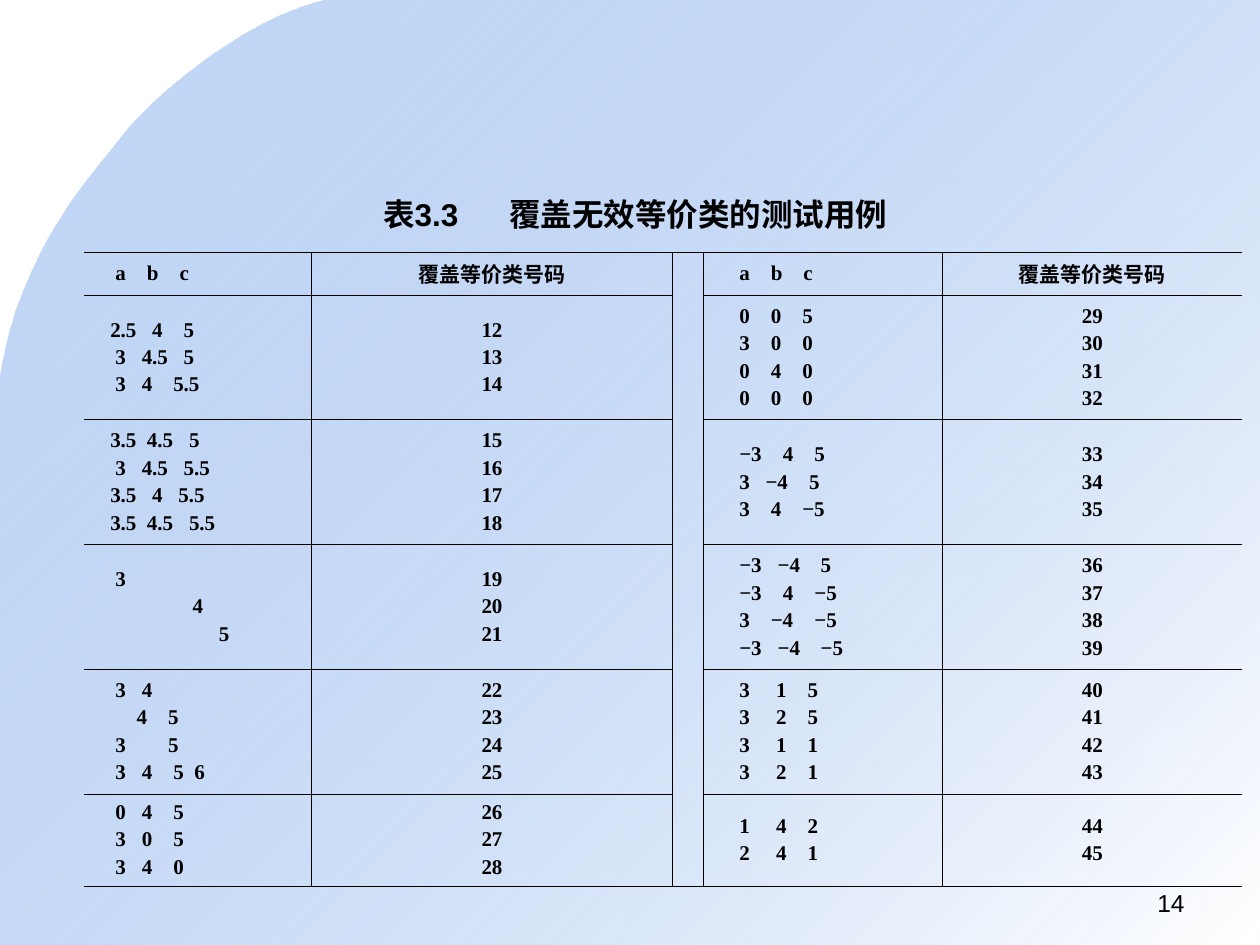
from lxml.etree import SubElement
from pptx import Presentation
from pptx.dml.color import RGBColor
from pptx.enum.text import MSO_ANCHOR, MSO_AUTO_SIZE, PP_ALIGN
from pptx.oxml.ns import qn
from pptx.util import Inches, Pt

COLORS = {"text": "000000", "blue": "699DE9", "white": "FFFFFF"}
SPACE = Pt(3)
HEADING = "覆盖等价类号码"
GAP_COL = 2
COL_WIDTHS = [1.8, 2.87, 0.05, 1.9, 2.38]
ROW_HEIGHTS = [0.34, 0.99, 0.99, 0.99, 0.99, 0.73]
CURVES = [
    [(2.58, 0), (1.9, 0.16), (1.16, 0.83), (0.98, 1.07)],
    [(0.98, 1.07), (0.8, 1.32), (0.16, 1.94), (0, 3.01)],
]
LEFT_CASES = [
    ["3:2.5 11:4 17:5", "4:3 9:4.5 17:5", "4:3 9:4 15:5.5"],
    ["3:3.5 10:4.5 18:5", "4:3 9:4.5 17:5.5", "3:3.5 11:4 16:5.5", "3:3.5 10:4.5 18:5.5"],
    ["4:3", "18.7:4", "23.7:5"],
    ["4:3 9:4", "8:4 14:5", "4:3 14:5", "4:3 9:4 15:5 19:6"],
    ["4:0 9:4 15:5", "4:3 9:0 15:5", "4:3 9:4 15:0"],
]
RIGHT_CASES = [
    ["5:0 11:0 17:5", "5:3 11:0 17:0", "5:0 11:4 17:0", "5:0 11:0 17:0"],
    ["5:−3 13.3:4 19.3:5", "5:3 10:−4 18.3:5", "5:3 11:4 17:−5"],
    ["5:−3 12.3:−4 20.5:5", "5:−3 13.3:4 19.3:−5", "5:3 11:−4 19.3:−5",
     "5:−3 12.3:−4 20.5:−5"],
    ["5:3 12:1 18:5", "5:3 12:2 18:5", "5:3 12:1 18:1", "5:3 12:2 18:1"],
    ["5:1 12:4 18:2", "5:2 12:4 18:1"],
]


def bezier(a, b, c, d, steps=16):
    """Return points along a cubic curve, without its start."""
    ts = [i / steps for i in range(1, steps + 1)]
    return [tuple((1 - t) ** 3 * w + 3 * (1 - t) ** 2 * t * x + 3 * (1 - t) * t * t * y + t ** 3 * z
                  for w, x, y, z in zip(a, b, c, d)) for t in ts]


def add_background(s):
    """Draw the gradient panel with the curved corner behind everything."""
    points = [pt for curve in CURVES for pt in bezier(*curve)]
    points += [(0, 7.5), (10, 7.5), (10, 0)]
    builder = s.shapes.build_freeform(Inches(2.58), 0)
    builder.add_line_segments([(Inches(x), Inches(y)) for x, y in points])
    sp = builder.convert_to_shape()
    sp.shadow.inherit = False
    sp.line.fill.background()
    sp.fill.gradient()
    sp.fill.gradient_angle = 315
    for stop, name in zip(sp.fill.gradient_stops, ("blue", "white")):
        stop.color.rgb = RGBColor.from_string(COLORS[name])
    first_color = sp._element.spPr.find(".//" + qn("a:srgbClr"))
    SubElement(first_color, qn("a:alpha"), val="39000")
    s.shapes._spTree.insert(2, sp._element)


def format_runs(p, size, font, bold):
    """Set the font of every run in a paragraph."""
    for r in p.runs:
        r.font.size, r.font.name, r.font.bold = Pt(size), font, bold
        r.font.color.rgb = RGBColor.from_string(COLORS["text"])


def set_tabs(p, positions):
    """Give a paragraph left tab stops."""
    tabs = SubElement(p._p.get_or_add_pPr(), qn("a:tabLst"))
    for pos in positions:
        SubElement(tabs, qn("a:tab"), pos=str(int(pos)), algn="l")


def set_borders(cell, sides):
    """Draw thin lines on the named sides and none on the others."""
    tcPr = cell._tc.get_or_add_tcPr()
    for i, side in enumerate("LRTB"):
        ln = SubElement(tcPr, qn(f"a:ln{side}"), w=str(Pt(0.45)))
        if side in sides:
            fill = SubElement(ln, qn("a:solidFill"))
            SubElement(fill, qn("a:srgbClr"), val=COLORS["text"])
        else:
            SubElement(ln, qn("a:noFill"))
        tcPr.insert(i, ln)


def fill_cell(cell, lines, tabbed):
    """Write lines, either centred or as position:value pairs on tab stops."""
    cell.margin_left = cell.margin_right = Inches(0.08)
    cell.vertical_anchor = MSO_ANCHOR.MIDDLE
    pairs = [[item.split(":") for item in line.split()] for line in lines] if tabbed else []
    if tabbed:
        lines = ["".join("\t" + value for _, value in row) for row in pairs]
    tf = cell.text_frame
    tf.text = "\n".join(lines)
    for i, p in enumerate(tf.paragraphs):
        p.alignment = PP_ALIGN.JUSTIFY if tabbed else PP_ALIGN.CENTER
        p.space_before = p.space_after = Pt(1.2)
        if tabbed:
            set_tabs(p, [float(pos) * SPACE for pos, _ in pairs[i]])
        format_runs(p, 12, "Times New Roman", True)


def number_cases(cases, first):
    """Return consecutive class numbers matching each group of cases."""
    groups = []
    for group in cases:
        groups.append([str(first + i) for i in range(len(group))])
        first += len(group)
    return groups


def add_case_table(s):
    """Add the two-part table of test cases."""
    rows, cols = len(ROW_HEIGHTS), len(COL_WIDTHS)
    table = s.shapes.add_table(rows, cols, Inches(0.67), Inches(2),
                               Inches(sum(COL_WIDTHS)), Inches(sum(ROW_HEIGHTS))).table
    table.first_row = table.horz_banding = False
    for col, width in zip(table.columns, COL_WIDTHS):
        col.width = Inches(width)
    for row, height in zip(table.rows, ROW_HEIGHTS):
        row.height = Inches(height)
    columns = {
        0: [["4:a 10:b 16.2:c"]] + LEFT_CASES,
        1: [[HEADING]] + number_cases(LEFT_CASES, 12),
        3: [["5:a 11:b 17.2:c"]] + RIGHT_CASES,
        4: [[HEADING]] + number_cases(RIGHT_CASES, 29),
    }
    for c in range(cols):
        for r in range(rows):
            cell = table.cell(r, c)
            cell.fill.background()
            sides = {0: "RTB", cols - 1: "LTB"}.get(c, "LRTB")
            if c == GAP_COL:
                sides = {0: "LRTB", rows - 1: "LRB"}.get(r, "LR")
            else:
                fill_cell(cell, columns[c][r], c in (0, 3))
            set_borders(cell, sides)
    table.cell(0, GAP_COL).merge(table.cell(rows - 1, GAP_COL))


def set_caption(s):
    """Place the table caption in the title placeholder."""
    sp = s.shapes.title
    sp.left, sp.top, sp.width, sp.height = Inches(2.94), Inches(1.5), Inches(4.4), Inches(0.4)
    tf = sp.text_frame
    tf.text = "表3.3\t覆盖无效等价类的测试用例"
    tf.word_wrap, tf.auto_size = True, MSO_AUTO_SIZE.NONE
    tf.vertical_anchor = MSO_ANCHOR.TOP
    p = tf.paragraphs[0]
    p.alignment = PP_ALIGN.LEFT
    set_tabs(p, [Inches(1)])
    format_runs(p, 18, "Arial", True)


def add_page_number(s):
    """Add the page number at the lower right."""
    tf = s.shapes.add_textbox(Inches(7.17), Inches(7), Inches(2.33), Inches(0.35)).text_frame
    tf.word_wrap = True
    tf.text = "14"
    tf.paragraphs[0].alignment = PP_ALIGN.RIGHT
    format_runs(tf.paragraphs[0], 14, "Arial", False)


def main():
    """Build the slide and save it."""
    prs = Presentation()
    prs.slide_width, prs.slide_height = Inches(10), Inches(7.5)
    s = prs.slides.add_slide(prs.slide_layouts[5])
    add_background(s)
    add_case_table(s)
    set_caption(s)
    add_page_number(s)
    prs.save("out.pptx")


if __name__ == "__main__":
    main()
